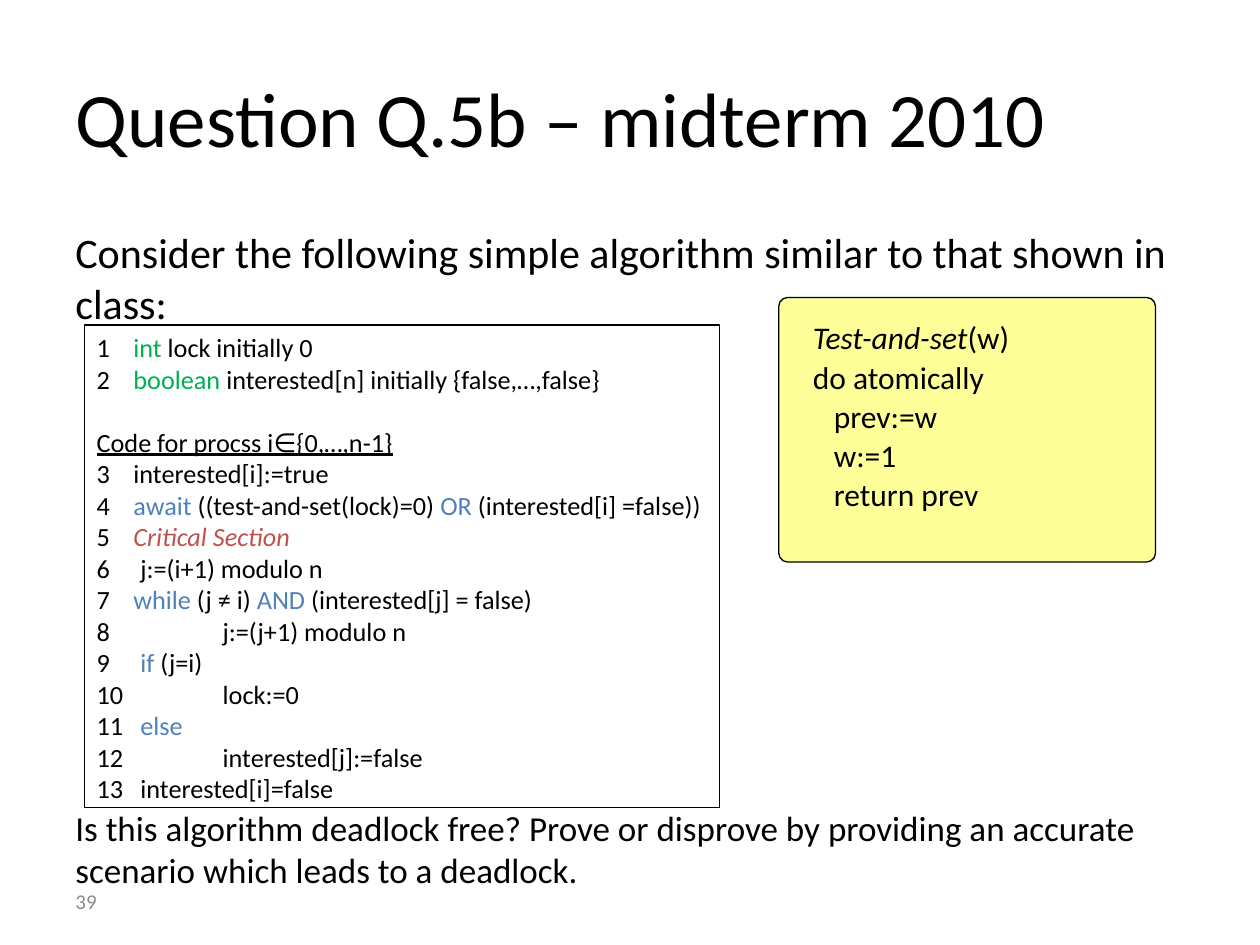
from pptx import Presentation
from pptx.dml.color import RGBColor
from pptx.enum.shapes import MSO_SHAPE as Preset
from pptx.enum.text import MSO_ANCHOR as Anchor, PP_ALIGN as Align
from pptx.util import Pt

FONT = "Calibri"
BLACK, GREY, WHITE, YELLOW = "000000", "8C8C8C", "FFFFFF", "FFFF99"
GREEN, BLUE, RED = "00B050", "4F81BD", "C0504D"

# Indents of the code text, measured from the line numbers
STEP, INNER, NESTED = 21, 25, 72

# Each line: indent, then pieces of text, coloured where a pair is given
DECLARATIONS = [
    (STEP, [("int ", GREEN), "lock initially 0"]),
    (STEP, [("boolean", GREEN), " interested[n] initially {false,…,false}"]),
]
PROCESS_HEADING = "Code for procss i∈{0,…,n-1}"
PROCESS = [
    (STEP, ["interested[i]:=true"]),
    (STEP, [("await", BLUE), " ((test-and-set(lock)=0) ", ("OR", BLUE),
            " (interested[i] =false))"]),
    (STEP, [("Critical Section", RED)]),
    (INNER, ["j:=(i+1) modulo n"]),
    (STEP, [("while", BLUE), " (j ≠ i) ", ("AND", BLUE),
            " (interested[j] = false)"]),
    (NESTED, ["j:=(j+1) modulo n"]),
    (INNER, [("if", BLUE), " (j=i)"]),
    (NESTED, ["lock:=0"]),
    (INNER, [("else", BLUE)]),
    (NESTED, ["interested[j]:=false"]),
    (INNER, ["interested[i]=false"]),
]


def rgb(color):
    return RGBColor.from_string(color)


def points(box):
    return [Pt(length) for length in box]


def add_span(para, text, size, color=BLACK):
    span = para.add_run()
    span.text = text
    font = span.font
    font.name, font.size = FONT, Pt(size)
    font.color.rgb = rgb(color)
    return span


def next_para(frame, first):
    return frame.paragraphs[0] if first else frame.add_paragraph()


def set_indent(para, left, first=0):
    props = para._p.get_or_add_pPr()
    props.set("marL", str(Pt(left)))
    props.set("indent", str(Pt(first)))


def add_panel(shapes, preset, box, fill):
    panel = shapes.add_shape(preset, *points(box))
    panel.shadow.inherit = False
    panel.fill.solid()
    panel.fill.fore_color.rgb = rgb(fill)
    panel.line.color.rgb = rgb(BLACK)
    panel.line.width = Pt(0.75)
    return panel


def add_title(page, box, text):
    title = page.shapes.title
    title.left, title.top, title.width, title.height = points(box)
    frame = title.text_frame
    frame.vertical_anchor = Anchor.MIDDLE
    para = frame.paragraphs[0]
    para.alignment = Align.LEFT
    add_span(para, text, 44)


def add_text(page, box, text, size, color=BLACK, anchor=Anchor.TOP):
    frame = page.shapes.add_textbox(*points(box)).text_frame
    frame.word_wrap = True
    frame.vertical_anchor = anchor
    add_span(frame.paragraphs[0], text, size, color)


def add_code(page, box):
    frame = add_panel(page.shapes, Preset.RECTANGLE, box, WHITE).text_frame
    frame.word_wrap = True
    frame.vertical_anchor = Anchor.TOP
    for number, (indent, pieces) in enumerate(DECLARATIONS + PROCESS, 1):
        # The heading parts the declarations from the process code
        if number == len(DECLARATIONS) + 1:
            heading = frame.add_paragraph()
            heading.alignment = Align.LEFT
            heading.space_before = Pt(18)
            add_span(heading, PROCESS_HEADING, 15).font.underline = True
        para = next_para(frame, number == 1)
        para.alignment = Align.LEFT
        set_indent(para, indent, -indent)
        add_span(para, f"{number}\t", 15)
        for piece in pieces:
            text, color = (piece, BLACK) if isinstance(piece, str) else piece
            add_span(para, text, 15, color).font.italic = color == RED


def add_primitive(page, box):
    left, top, width, height = box
    group = page.shapes.add_group_shape()
    card = add_panel(group.shapes, Preset.ROUNDED_RECTANGLE, box, YELLOW)
    card.adjustments[0] = 0.034
    text_box = (left + 19.5, top + 13.5, width - 34.5, height - 40)
    frame = group.shapes.add_textbox(*points(text_box)).text_frame
    frame.word_wrap = True
    frame.margin_left = frame.margin_right = 0
    frame.margin_top = frame.margin_bottom = 0

    signature = frame.paragraphs[0]
    signature.line_spacing = 0.95
    add_span(signature, "Test-and-set", 18).font.italic = True
    add_span(signature, "(w)", 18)
    steps = [(0, "do atomically"), (12, "prev:=w"), (12, "w:=1"),
             (12, "return prev")]
    for indent, text in steps:
        para = frame.add_paragraph()
        para.line_spacing = 1.03
        set_indent(para, indent)
        add_span(para, text, 18)


def main():
    deck = Presentation()
    deck.slide_width, deck.slide_height = Pt(720), Pt(540)
    page = deck.slides.add_slide(deck.slide_layouts[5])

    add_title(page, (36, 21.6, 648, 90), "Question Q.5b – midterm 2010")
    # Question above and below the code
    add_text(page, (36, 126, 648, 66),
             "Consider the following simple algorithm similar to that shown "
             "in class:", 24)
    add_text(page, (36, 457.5, 648, 56),
             "Is this algorithm deadlock free? Prove or disprove by providing "
             "an accurate scenario which leads to a deadlock.", 20)
    # Page number
    add_text(page, (36, 500.4, 168, 28.8), "39", 12, GREY, Anchor.MIDDLE)
    add_primitive(page, (445, 170, 215.3, 151.2))
    add_code(page, (48.2, 185.8, 363, 275.8))

    deck.save("out.pptx")


if __name__ == "__main__":
    main()
